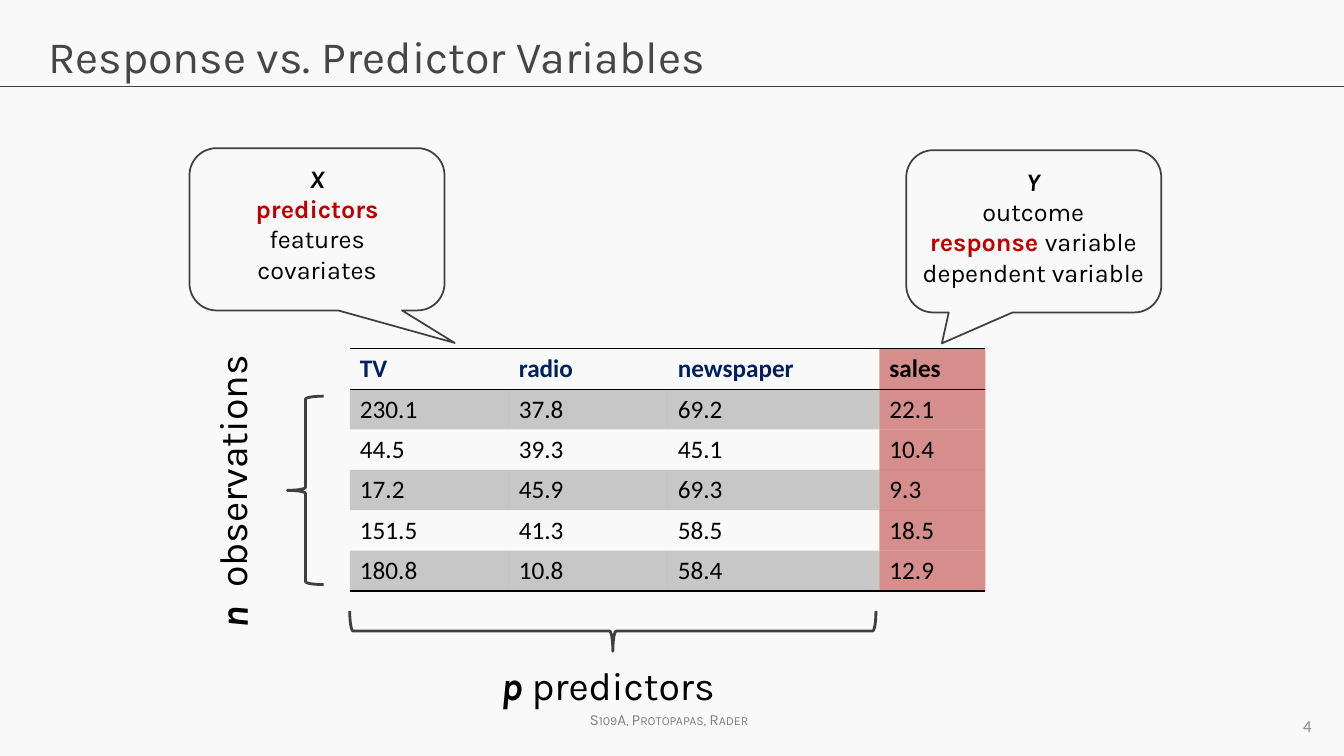
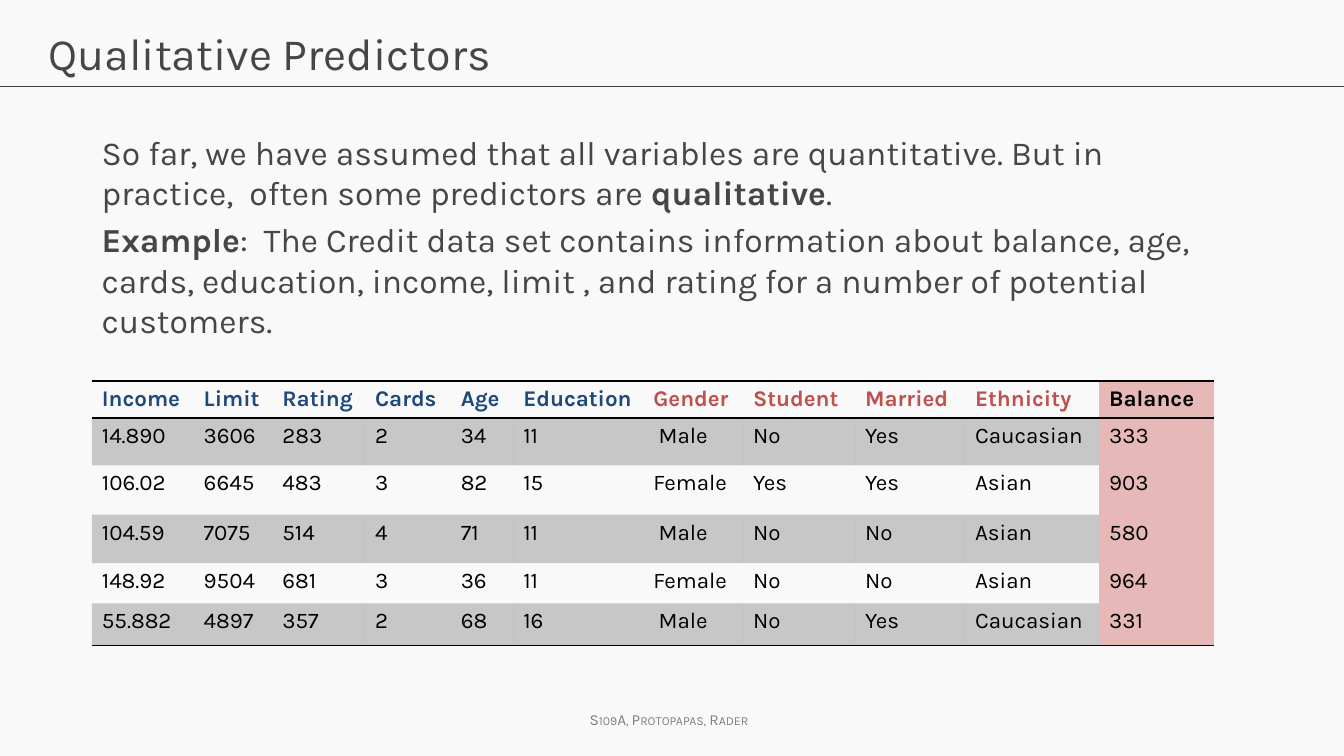
from lxml.etree import SubElement
from pptx import Presentation
from pptx.dml.color import RGBColor
from pptx.enum.shapes import MSO_CONNECTOR as Connector, MSO_SHAPE as Shape
from pptx.enum.text import MSO_ANCHOR as Anchor, MSO_AUTO_SIZE as AutoSize, PP_ALIGN as Align
from pptx.oxml.ns import qn
from pptx.util import Inches, Pt

WIDTH, HEIGHT = Inches(13.333), Inches(7.5)

# Shared colours and fonts
BACKGROUND = RGBColor(0xF9, 0xF9, 0xF9)
TITLE_GRAY = RGBColor(0x46, 0x46, 0x46)
LINE_GRAY = RGBColor(0x40, 0x40, 0x40)
FOOTER_GRAY = RGBColor(0x80, 0x80, 0x80)
NUMBER_GRAY = RGBColor(0x8C, 0x8C, 0x8C)
BLACK = RGBColor(0, 0, 0)
NAVY = RGBColor(0x00, 0x20, 0x60)
BLUE = RGBColor(0x1F, 0x49, 0x7D)
BRICK = RGBColor(0xC0, 0x50, 0x4D)
PINK = RGBColor(0xE6, 0xB9, 0xB8)
RED = RGBColor(0xC0, 0, 0)
KARLA, CALIBRI = "Karla", "Calibri"

# Run styles
BOLD = {"bold": True}
BOLD_ITALIC = {"bold": True, "italic": True}
KEYWORD = {"bold": True, "color": RED}

NO_TABLE_STYLE = "{2D5ABB26-0587-4C30-8999-92F81FD0307C}"

ADVERTISING = [
    ("TV", "radio", "newspaper", "sales"),
    ("230.1", "37.8", "69.2", "22.1"),
    ("44.5", "39.3", "45.1", "10.4"),
    ("17.2", "45.9", "69.3", "9.3"),
    ("151.5", "41.3", "58.5", "18.5"),
    ("180.8", "10.8", "58.4", "12.9"),
]
CREDIT = [
    ("Income", "Limit", "Rating", "Cards", "Age", "Education",
     "Gender", "Student", "Married", "Ethnicity", "Balance"),
    ("14.890", "3606", "283", "2", "34", "11", " Male", "No", "Yes", "Caucasian", "333"),
    ("106.02", "6645", "483", "3", "82", "15", "Female", "Yes", "Yes", "Asian", "903"),
    ("104.59", "7075", "514", "4", "71", "11", " Male", "No", "No", "Asian", "580"),
    ("148.92", "9504", "681", "3", "36", "11", "Female", "No", "No", "Asian", "964"),
    ("55.882", "4897", "357", "2", "68", "16", " Male", "No", "Yes", "Caucasian", "331"),
]


# Lengths are percentages of the slide's width and height
def across(share):
    return round(WIDTH * share / 100)


def down(share):
    return round(HEIGHT * share / 100)


def place(left, top, width, height):
    return across(left), down(top), across(width), down(height)


def format_run(run, size, font=KARLA, color=BLACK, bold=False, italic=False):
    run.font.size, run.font.name = Pt(size), font
    run.font.bold, run.font.italic = bold, italic
    run.font.color.rgb = color


def add_text(slide, box, paragraphs, size, font=KARLA, color=BLACK, align=Align.LEFT,
             anchor=Anchor.TOP, wrap=True, space_before=0):
    """Each paragraph is a list of (text, style) runs."""
    shape = slide.shapes.add_textbox(*place(*box))
    frame = shape.text_frame
    frame.word_wrap = wrap
    frame.auto_size = AutoSize.NONE if wrap else AutoSize.SHAPE_TO_FIT_TEXT
    frame.vertical_anchor = anchor
    for index, runs in enumerate(paragraphs):
        paragraph = frame.add_paragraph() if index else frame.paragraphs[0]
        paragraph.alignment = align
        paragraph.space_before = Pt(space_before)
        for text, style in runs:
            run = paragraph.add_run()
            run.text = text
            format_run(run, size, font, **{"color": color, **style})
    return shape


def add_outline(slide, preset, box, line_width, adjustments=(), rotation=0):
    shape = slide.shapes.add_shape(preset, *place(*box))
    shape.shadow.inherit = False
    shape.fill.background()
    shape.line.color.rgb = LINE_GRAY
    shape.line.width = Pt(line_width)
    shape.rotation = rotation
    for index, value in enumerate(adjustments):
        shape.adjustments[index] = value


def add_callout(slide, box, tip, text_box, paragraphs):
    add_outline(slide, Shape.ROUNDED_RECTANGULAR_CALLOUT, box, 1.25, (*tip, 0.167))
    add_text(slide, text_box, paragraphs, 18, align=Align.CENTER, wrap=False)


# Tables
def add_border(cell, side):
    line = SubElement(cell._tc.get_or_add_tcPr(), qn(f"a:{side}"), w=str(Pt(1)))
    fill = SubElement(line, qn("a:solidFill"))
    SubElement(fill, qn("a:srgbClr"), val=str(BLACK))


def fill_cell(cell, color, opacity):
    cell.fill.solid()
    cell.fill.fore_color.rgb = color
    if opacity < 100:
        color_node = cell._tc.tcPr.find(f".//{qn('a:solidFill')}[last()]/{qn('a:srgbClr')}")
        for color_node in cell._tc.tcPr.findall(f"{qn('a:solidFill')}/{qn('a:srgbClr')}"):
            SubElement(color_node, qn("a:alpha"), val=str(opacity * 1000))


def add_data_table(slide, left, top, columns, rows, data, size, font,
                   header_colors, response_fill, header_anchor=Anchor.TOP):
    """Banded rows, ruled header, and a tinted last column for the response."""
    frame = slide.shapes.add_table(len(rows), len(columns),
                                   *place(left, top, sum(columns), sum(rows)))
    table = frame.table
    table._tbl.tblPr.find(qn("a:tableStyleId")).text = NO_TABLE_STYLE
    for column, width in zip(table.columns, columns):
        column.width = across(width)
    for row, height in zip(table.rows, rows):
        row.height = down(height)

    last_row, last_column = len(rows) - 1, len(columns) - 1
    for i, values in enumerate(data):
        for j, value in enumerate(values):
            cell = table.cell(i, j)
            cell.text = value
            color = BLACK if i else header_colors[j]
            format_run(cell.text_frame.paragraphs[0].runs[0], size, font, color, bold=i == 0)
            if i == 0:
                cell.vertical_anchor = header_anchor
                add_border(cell, "lnT")
            if i in (0, last_row):
                add_border(cell, "lnB")
            if j == last_column:
                fill_cell(cell, *response_fill)
            elif i % 2:
                fill_cell(cell, BLACK, 20)
            else:
                cell.fill.background()


# Frame shared by the slides
def add_slide(presentation, title, title_top):
    slide = presentation.slides.add_slide(presentation.slide_layouts[6])
    slide.background.fill.solid()
    slide.background.fill.fore_color.rgb = BACKGROUND

    rule = slide.shapes.add_connector(Connector.STRAIGHT, 0, down(11.5), WIDTH, down(11.5))
    rule.line.color.rgb = LINE_GRAY
    rule.line.width = Pt(0.75)
    SubElement(rule._element.spPr, qn("a:effectLst"))

    footer = add_text(slide, (43.13, 93.33, 14.1, 3.87), [[("S109A, Protopapas, Rader", {})]],
                      11, color=FOOTER_GRAY, wrap=False)
    footer_run = footer.text_frame.paragraphs[0].runs[0]
    footer_run._r.get_or_add_rPr().set("cap", "small")

    add_text(slide, (2.85, title_top, 94.28, 11.2), [[(title, {})]], 32, color=TITLE_GRAY)
    return slide


def build_variables_slide(presentation):
    slide = add_slide(presentation, "Response vs. Predictor Variables", 3.2)
    add_data_table(slide, 26.03, 46.13, [11.83, 11.83, 15.74, 7.89], [5.33] * 6,
                   ADVERTISING, 18, CALIBRI, [NAVY] * 3 + [BLACK], (BRICK, 63))
    add_text(slide, (75, 93.33, 23.33, 5.33), [[("4", {})]], 12, CALIBRI, NUMBER_GRAY,
             Align.RIGHT, Anchor.MIDDLE)

    # Names for the two kinds of variable
    add_callout(slide, (67.43, 19.87, 18.98, 21.47), (-0.36, 0.69), (67.58, 21.33, 18.6, 21.6), [
        [("Y", BOLD_ITALIC)],
        [("outcome", {})],
        [("response ", KEYWORD), ("variable", {})],
        [("dependent variable", {})],
    ])
    add_callout(slide, (14.1, 19.6, 18.98, 21.47), (0.54, 0.7), (18.15, 20.93, 10.88, 21.6), [
        [("X", BOLD_ITALIC)],
        [("predictors", KEYWORD)],
        [("features", {})],
        [("covariates", {})],
    ])

    # Braces with the table's dimensions
    add_outline(slide, Shape.LEFT_BRACE, (44.1, 48.67, 3, 69.6), 2, rotation=270)
    add_text(slide, (36.53, 86.8, 17.7, 7.6),
             [[("p", BOLD_ITALIC), (" predictors", {})]], 28, wrap=False)
    add_outline(slide, Shape.LEFT_BRACE, (21.38, 52.4, 2.7, 24.93), 2)
    observations = add_text(slide, (6.23, 60.93, 22.13, 7.6),
                            [[("n", BOLD_ITALIC), ("  observations", {})]], 28, wrap=False)
    observations.rotation = 270


def build_qualitative_slide(presentation):
    slide = add_slide(presentation, "Qualitative Predictors", 2.8)
    add_text(slide, (6.83, 16.8, 84.68, 30.8), [
        [("So far, we have assumed that all variables are quantitative. But in practice,  "
          "often some predictors are ", {}), ("qualitative", BOLD), (".", {})],
        [("Example", BOLD), (":  The Credit data set contains information about balance, age, "
                             "cards, education, income, limit , and rating for a number of "
                             "potential customers.", {})],
    ], 24, color=TITLE_GRAY, space_before=4.8)
    add_data_table(slide, 6.83, 50.4,
                   [7.58, 5.85, 6.9, 6.38, 4.65, 9.68, 7.43, 8.33, 8.18, 9.98, 8.55],
                   [4.8, 6.27, 6.53, 6.4, 5.33, 5.6], CREDIT, 16, KARLA,
                   [BLUE] * 6 + [BRICK] * 4 + [BLACK], (PINK, 100), Anchor.MIDDLE)


def main():
    presentation = Presentation()
    presentation.slide_width, presentation.slide_height = WIDTH, HEIGHT
    build_variables_slide(presentation)
    build_qualitative_slide(presentation)
    presentation.save("out.pptx")


if __name__ == "__main__":
    main()
